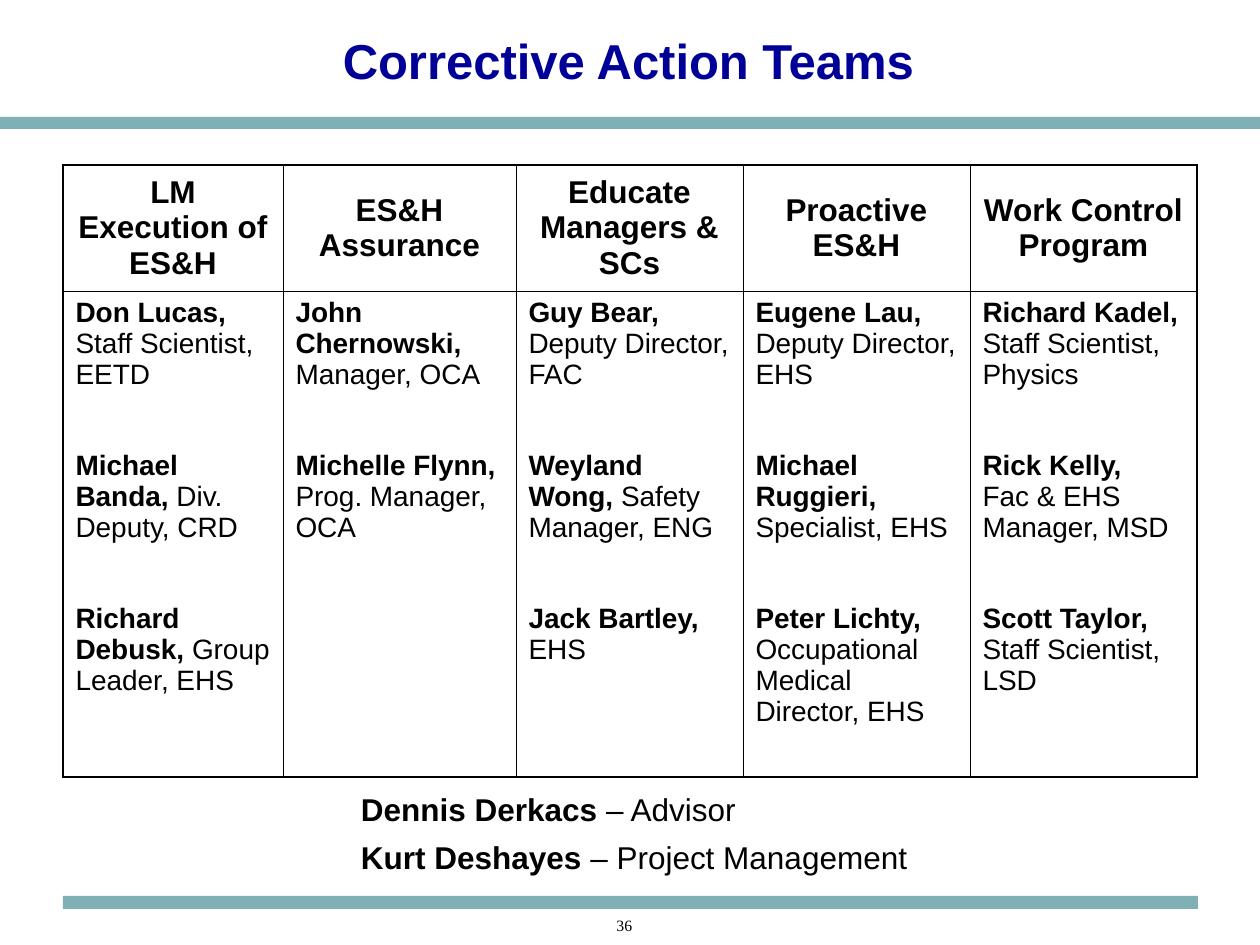
from dataclasses import dataclass

from lxml.etree import SubElement
from pptx import Presentation
from pptx.dml.color import RGBColor
from pptx.enum.shapes import MSO_SHAPE
from pptx.enum.text import MSO_ANCHOR, PP_ALIGN
from pptx.oxml.ns import qn
from pptx.util import Emu, Pt

EMU_PER_PX = 914400 / 126


@dataclass(frozen=True)
class Theme:
    heading: str = "000099"
    ink: str = "000000"
    bar: str = "7FB0B5"
    sans: str = "Arial"
    serif: str = "Times New Roman"
    title_size: int = 28
    header_size: int = 18
    member_size: int = 16
    number_size: int = 9
    outer_line: float = 1.08
    inner_line: float = 0.45


THEME = Theme()


def px(length):
    return Emu(round(length * EMU_PER_PX))


def write_text(frame, paragraphs, *, size, color=THEME.ink, font=THEME.sans,
               align=PP_ALIGN.LEFT, gap=0, line_spacing=None):
    """Fill a frame; each paragraph is a list of (text, bold) runs, "\\n" breaks a line."""
    frame.word_wrap = True
    for index, runs in enumerate(paragraphs):
        paragraph = frame.add_paragraph() if index else frame.paragraphs[0]
        paragraph.alignment = align
        paragraph.line_spacing = line_spacing
        if index:
            paragraph.space_before = Pt(gap)
        for text, bold in runs:
            for number, line in enumerate(text.split("\n")):
                if number:
                    paragraph.add_line_break()
                run = paragraph.add_run()
                run.text = line
                run.font.size = Pt(size)
                run.font.name = font
                run.font.bold = bold
                run.font.color.rgb = RGBColor.from_string(color)


def set_border(cell, side, width, color):
    properties = cell._tc.get_or_add_tcPr()
    line = SubElement(properties, qn(f"a:ln{side}"), w=str(Pt(width)))
    fill = SubElement(line, qn("a:solidFill"))
    SubElement(fill, qn("a:srgbClr"), val=color)


class SlideBuilder:
    def __init__(self, slide, theme):
        self.slide = slide
        self.theme = theme

    def bar(self, left, top, width, height):
        shape = self.slide.shapes.add_shape(
            MSO_SHAPE.RECTANGLE, px(left), px(top), px(width), px(height))
        shape.shadow.inherit = False
        shape.fill.solid()
        shape.fill.fore_color.rgb = RGBColor.from_string(self.theme.bar)
        shape.line.fill.background()

    def text(self, left, top, width, height, paragraphs, *,
             anchor=MSO_ANCHOR.TOP, left_inset=13, **text_format):
        box = self.slide.shapes.add_textbox(px(left), px(top), px(width), px(height))
        frame = box.text_frame
        frame.vertical_anchor = anchor
        frame.margin_left = px(left_inset)
        write_text(frame, paragraphs, **text_format)

    def table(self, left, top, widths, heights, teams):
        """Draw one column per team: its name above its members."""
        table = self.slide.shapes.add_table(
            len(heights), len(widths), px(left), px(top),
            px(sum(widths)), px(sum(heights))).table
        table.first_row = table.horz_banding = False
        for row, height in zip(table.rows, heights):
            row.height = px(height)
        for column, (team, members) in enumerate(teams.items()):
            table.columns[column].width = px(widths[column])
            header, body = table.cell(0, column), table.cell(1, column)
            header.vertical_anchor = MSO_ANCHOR.MIDDLE
            write_text(header.text_frame, [[(team, True)]],
                       size=self.theme.header_size, align=PP_ALIGN.CENTER)
            write_text(body.text_frame,
                       [[(name, True), (role, False)] for name, role in members],
                       size=self.theme.member_size, gap=34)
            for row, cell in enumerate((header, body)):
                outer_sides = {"L": column == 0, "R": column == len(widths) - 1,
                               "T": row == 0, "B": row == len(heights) - 1}
                for side, outer in outer_sides.items():
                    width = self.theme.outer_line if outer else self.theme.inner_line
                    set_border(cell, side, width, self.theme.ink)
                cell.fill.background()


TEAMS = {
    "LM Execution of ES&H": [
        ("Don Lucas, ", "Staff Scientist, EETD"),
        ("Michael Banda, ", "Div. Deputy, CRD"),
        ("Richard Debusk, ", "Group Leader, EHS"),
    ],
    "ES&H Assurance": [
        ("John Chernowski, ", "Manager, OCA"),
        ("Michelle Flynn, ", "Prog. Manager, OCA"),
    ],
    "Educate Managers & SCs": [
        ("Guy Bear, ", "Deputy Director, FAC"),
        ("Weyland Wong, ", "Safety Manager, ENG"),
        ("Jack Bartley,", " EHS"),
    ],
    "Proactive ES&H": [
        ("Eugene Lau, ", "Deputy Director, EHS"),
        ("Michael Ruggieri, ", "Specialist, EHS"),
        ("Peter Lichty, ", "Occupational Medical Director, EHS"),
    ],
    "Work Control Program": [
        ("Richard Kadel, ", "Staff Scientist, Physics"),
        ("Rick Kelly, ", "\nFac & EHS Manager, MSD"),
        ("Scott Taylor, ", "Staff Scientist, LSD"),
    ],
}
SUPPORT = [
    [("Dennis Derkacs", True), (" – Advisor", False)],
    [("Kurt Deshayes", True), (" – Project Management", False)],
]


def main():
    deck = Presentation()
    deck.slide_width, deck.slide_height = px(1260), px(945)
    builder = SlideBuilder(deck.slides.add_slide(deck.slide_layouts[6]), THEME)

    builder.bar(0, 117, 1260, 12)
    builder.bar(63, 896, 1135, 13)
    builder.text(63, 3, 1130, 113, [[("Corrective Action Teams", True)]],
                 anchor=MSO_ANCHOR.MIDDLE, size=THEME.title_size,
                 color=THEME.heading, align=PP_ALIGN.CENTER)
    builder.table(63, 165, [220, 233, 227, 227, 227], [126, 486], TEAMS)
    builder.text(348, 793, 577, 89, SUPPORT, size=THEME.header_size,
                 gap=11.2, line_spacing=0.75)
    builder.text(462, 910, 294, 25, [[("36", False)]], left_inset=43,
                 size=THEME.number_size, font=THEME.serif, align=PP_ALIGN.CENTER)
    deck.save("out.pptx")


if __name__ == "__main__":
    main()
